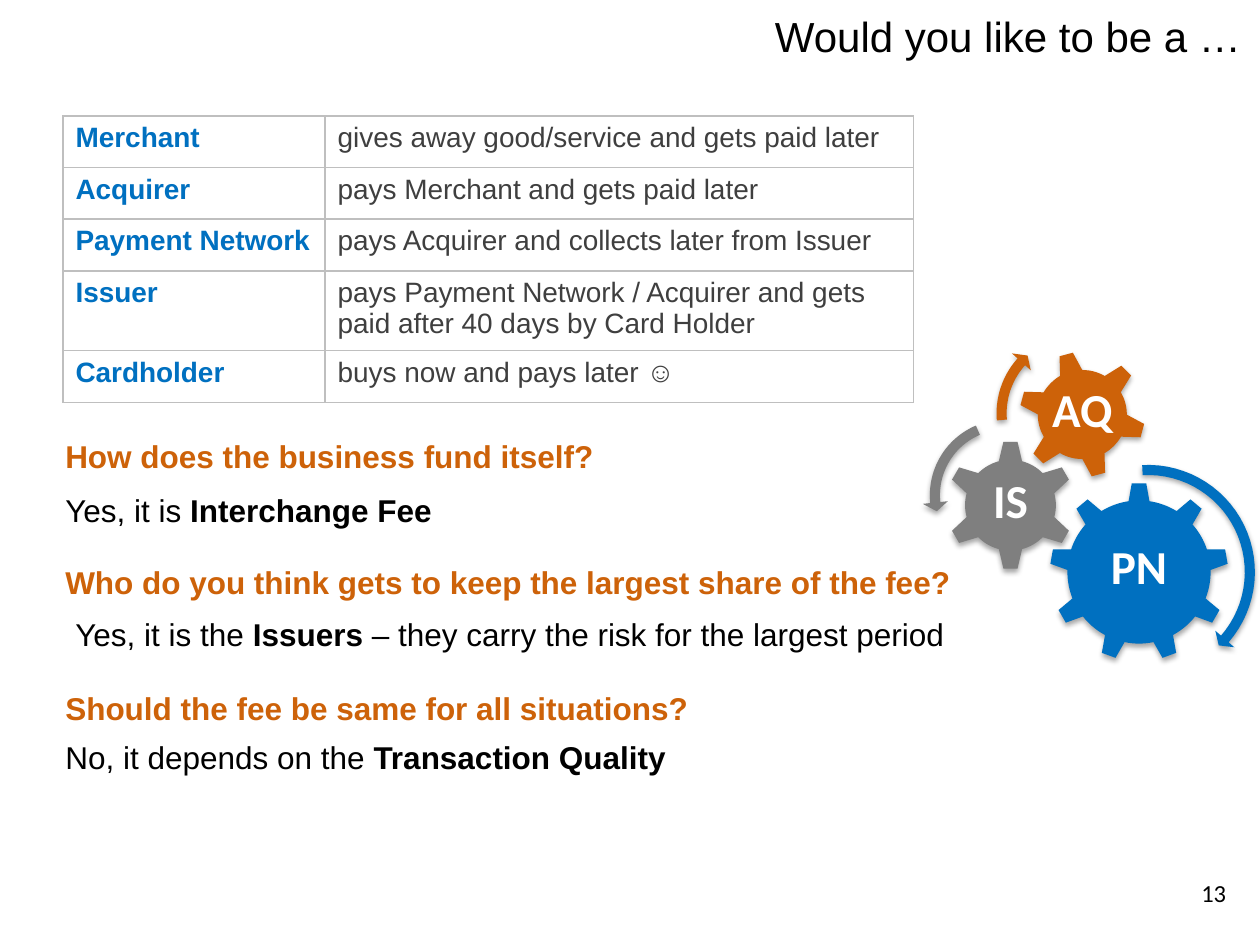
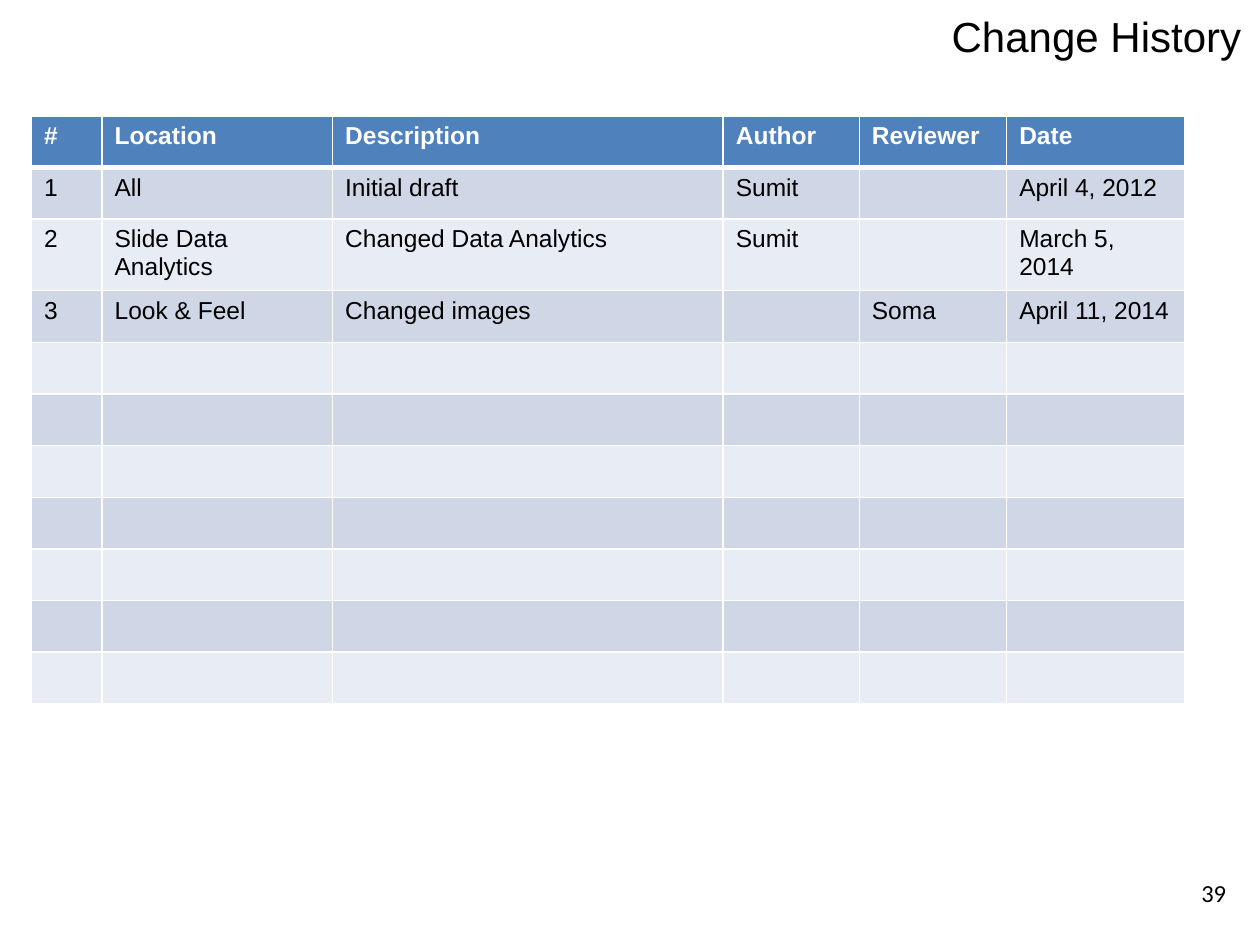
import math

import lxml.etree
import pptx
import pptx.dml.color
import pptx.enum.shapes
import pptx.enum.text
import pptx.oxml
import pptx.oxml.ns
import pptx.util

Inches = pptx.util.Inches
Pt = pptx.util.Pt
SHAPES = pptx.enum.shapes.MSO_SHAPE
ALIGN = pptx.enum.text.PP_ALIGN
MIDDLE = pptx.enum.text.MSO_ANCHOR.MIDDLE

BLACK, WHITE = "000000", "FFFFFF"
BLUE, ORANGE, GRAY = "0070C0", "CD6209", "7F7F7F"
DARK_TEXT, GRID = "3F3F3F", "BFBFBF"
HEADER, BANDS = "4F81BD", ("CFD7E7", "E8ECF4")


def rgb(value):
    return pptx.dml.color.RGBColor.from_string(value)


class Deck:
    """Holds the shared style and the current slide."""

    body_font = "Arial"
    accent_font = "Calibri"

    def __init__(self):
        self.presentation = pptx.Presentation()
        self.presentation.slide_width = Inches(10)
        self.presentation.slide_height = Inches(7.5)
        self.slide = None

    def style(self, paragraph, size, color=BLACK, bold=None, font=None, align=None):
        paragraph.alignment = align
        paragraph.font.name = font or self.body_font
        paragraph.font.size = Pt(size)
        paragraph.font.color.rgb = rgb(color)
        paragraph.font.bold = bold

    def add_slide(self, title, number):
        self.slide = self.presentation.slides.add_slide(self.presentation.slide_layouts[5])
        shape = self.slide.shapes.title
        shape.left, shape.top = Inches(2.08), Inches(0.02)
        shape.width, shape.height = Inches(7.87), Inches(0.53)
        shape.text_frame.text = title
        self.style(shape.text_frame.paragraphs[0], 24, align=ALIGN.RIGHT)
        self.text([str(number)], 7.5, 6.92, 2.33, 0.4, 14,
                  font=self.accent_font, align=ALIGN.RIGHT)

    def text(self, parts, left, top, width, height, size, wrap=True, **style):
        """Parts alternate between regular and bold when there are several."""
        shape = self.slide.shapes.add_textbox(
            Inches(left), Inches(top), Inches(width), Inches(height))
        frame = shape.text_frame
        frame.word_wrap = wrap
        paragraph = frame.paragraphs[0]
        for index, part in enumerate(parts):
            run = paragraph.add_run()
            run.text = part
            if len(parts) > 1:
                run.font.bold = index % 2 == 1
        self.style(paragraph, size, **style)
        return frame

    def finish(self, shape, color):
        """Plain fill, no outline and a soft shadow below."""
        shape.fill.solid()
        shape.fill.fore_color.rgb = rgb(color)
        shape.line.fill.background()
        shape.shadow.inherit = False
        effects = shape._element.spPr.find(pptx.oxml.ns.qn("a:effectLst"))
        effects.append(pptx.oxml.parse_xml(
            f'<a:outerShdw {pptx.oxml.ns.nsdecls("a")} blurRad="{Pt(3.1)}" '
            f'dist="{Pt(1.8)}" dir="5400000" rotWithShape="0">'
            f'<a:srgbClr val="{BLACK}"><a:alpha val="35000"/></a:srgbClr></a:outerShdw>'))

    def gear(self, label, preset, center, size, color, rotation=0):
        left, top = (value - size / 2 for value in center)
        shape = self.slide.shapes.add_shape(
            preset, Inches(left), Inches(top), Inches(size), Inches(size))
        shape.rotation = rotation
        self.finish(shape, color)
        # The label stays upright when its gear is turned
        side = 0.8
        frame = self.text([label], center[0] - side / 2, center[1] - side / 2 - 0.02,
                          side, side, 27, wrap=False, color=WHITE, bold=True,
                          font=self.accent_font, align=ALIGN.CENTER)
        frame.vertical_anchor = MIDDLE
        frame.paragraphs[0].line_spacing = 0.9

    def arc_arrow(self, center, radius, start, end, color):
        """Curved band from start to end degrees (clockwise from the right)."""
        half_band, half_head, head_length, steps = 0.04, 0.1, 0.07, 30

        def point(distance, angle):
            turn = math.radians(angle)
            return (Inches(center[0] + distance * math.cos(turn)),
                    Inches(center[1] + distance * math.sin(turn)))

        angles = [start + (end - start) * step / steps for step in range(steps + 1)]
        tip = end + math.copysign(math.degrees(head_length / radius), end - start)
        outline = [point(radius + half_band, angle) for angle in angles]
        outline += [point(radius + half_head, end), point(radius, tip),
                    point(radius - half_head, end)]
        outline += [point(radius - half_band, angle) for angle in reversed(angles)]
        builder = self.slide.shapes.build_freeform(*outline[0])
        builder.add_line_segments(outline[1:], close=True)
        self.finish(builder.convert_to_shape(), color)

    def table(self, rows, left, top, widths, size, border, look):
        """look(row, column) gives text colour, bold, fill and bottom border width."""
        row_height = 0.41
        shape = self.slide.shapes.add_table(
            len(rows), len(widths), Inches(left), Inches(top),
            Inches(sum(widths)), Inches(row_height * len(rows)))
        table = shape.table
        table.first_row = table.horz_banding = False
        for column, width in zip(table.columns, widths):
            column.width = Inches(width)
        for row_index, values in enumerate(rows):
            table.rows[row_index].height = Inches(row_height)
            for column_index, value in enumerate(values):
                cell = table.cell(row_index, column_index)
                color, bold, fill, bottom = look(row_index, column_index)
                cell.text = value
                self.style(cell.text_frame.paragraphs[0], size, color, bold)
                self.borders(cell, border, bottom)
                if fill:
                    cell.fill.solid()
                    cell.fill.fore_color.rgb = rgb(fill)
                else:
                    cell.fill.background()

    def borders(self, cell, color, bottom):
        properties = cell._tc.get_or_add_tcPr()
        for side, width in (("L", 1), ("R", 1), ("T", 1), ("B", bottom)):
            line = lxml.etree.SubElement(
                properties, pptx.oxml.ns.qn(f"a:ln{side}"), w=str(Pt(width)))
            fill = lxml.etree.SubElement(line, pptx.oxml.ns.qn("a:solidFill"))
            lxml.etree.SubElement(fill, pptx.oxml.ns.qn("a:srgbClr"), val=color)


def build_roles(deck):
    deck.add_slide("Would you like to be a …", 13)

    # Who pays whom
    roles = [
        ("Merchant", "gives away good/service and gets paid later"),
        ("Acquirer", "pays Merchant and gets paid later"),
        ("Payment Network", "pays Acquirer and collects later from Issuer"),
        ("Issuer", "pays Payment Network / Acquirer and gets paid after 40 days by Card Holder"),
        ("Cardholder", "buys now and pays later ☺"),
    ]
    deck.table(roles, 0.5, 0.92, (2.08, 4.67), 16, GRID,
               lambda row, column: (DARK_TEXT if column else BLUE, column == 0, None, 1))

    # Questions
    questions = [
        ("How does the business fund itself?", 3.42, 4.44),
        ("Who do you think gets to keep the largest share of the fee?", 4.42, 7.3),
        ("Should the fee be same for all situations?", 5.42, 5.19),
    ]
    for question, top, width in questions:
        deck.text([question], 0.42, top, width, 0.4, 18, wrap=False, color=ORANGE, bold=True)

    # Answers
    answers = [
        (["Yes, it is ", "Interchange Fee"], 0.42, 3.85, 3.14),
        (["Yes, it is the ", "Issuers ", "– they carry the risk for the largest period"],
         0.5, 4.83, 7.16),
        (["No, it depends on the ", "Transaction Quality"], 0.42, 5.81, 5.01),
    ]
    for parts, left, top, width in answers:
        deck.text(parts, left, top, width, 0.4, 18, wrap=False)

    # Gears and their turning arrows
    deck.gear("PN", SHAPES.GEAR_9, (9.04, 4.54), 1.42, BLUE)
    deck.gear("IS", SHAPES.GEAR_6, (8.02, 4.01), 1.03, GRAY)
    deck.gear("AQ", SHAPES.GEAR_6, (8.59, 3.29), 1.01, ORANGE, rotation=345)
    deck.arc_arrow((9.11, 4.54), 0.81, -93, 41, BLUE)
    deck.arc_arrow((7.98, 3.93), 0.56, 247, 174, GRAY)
    deck.arc_arrow((8.56, 3.28), 0.61, 175, 222, ORANGE)


def build_history(deck):
    deck.add_slide("Change History", 39)

    # Change log with free rows at the end
    changes = [
        ("#", "Location", "Description", "Author", "Reviewer", "Date"),
        ("1", "All", "Initial draft", "Sumit", "", "April 4, 2012"),
        ("2", "Slide Data Analytics", "Changed Data Analytics", "Sumit", "", "March 5, 2014"),
        ("3", "Look & Feel", "Changed images", "", "Soma", "April 11, 2014"),
    ]
    changes += [("",) * 6] * 7

    def look(row, column):
        if row == 0:
            return WHITE, True, HEADER, 3
        return BLACK, False, BANDS[(row - 1) % 2], 1

    deck.table(changes, 0.25, 0.92, (0.56, 1.83, 3.1, 1.08, 1.17, 1.41), 14, WHITE, look)


def main():
    deck = Deck()
    build_roles(deck)
    build_history(deck)
    deck.presentation.save("out.pptx")


if __name__ == "__main__":
    main()
